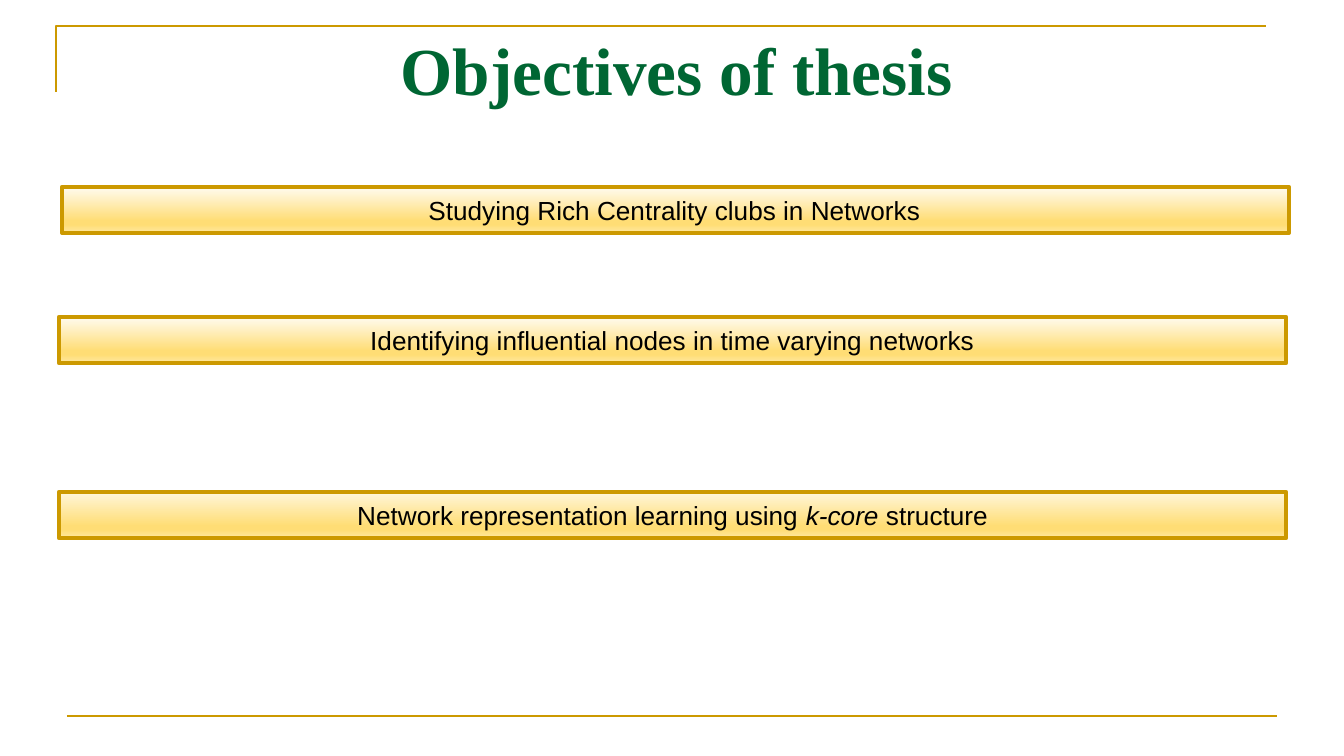
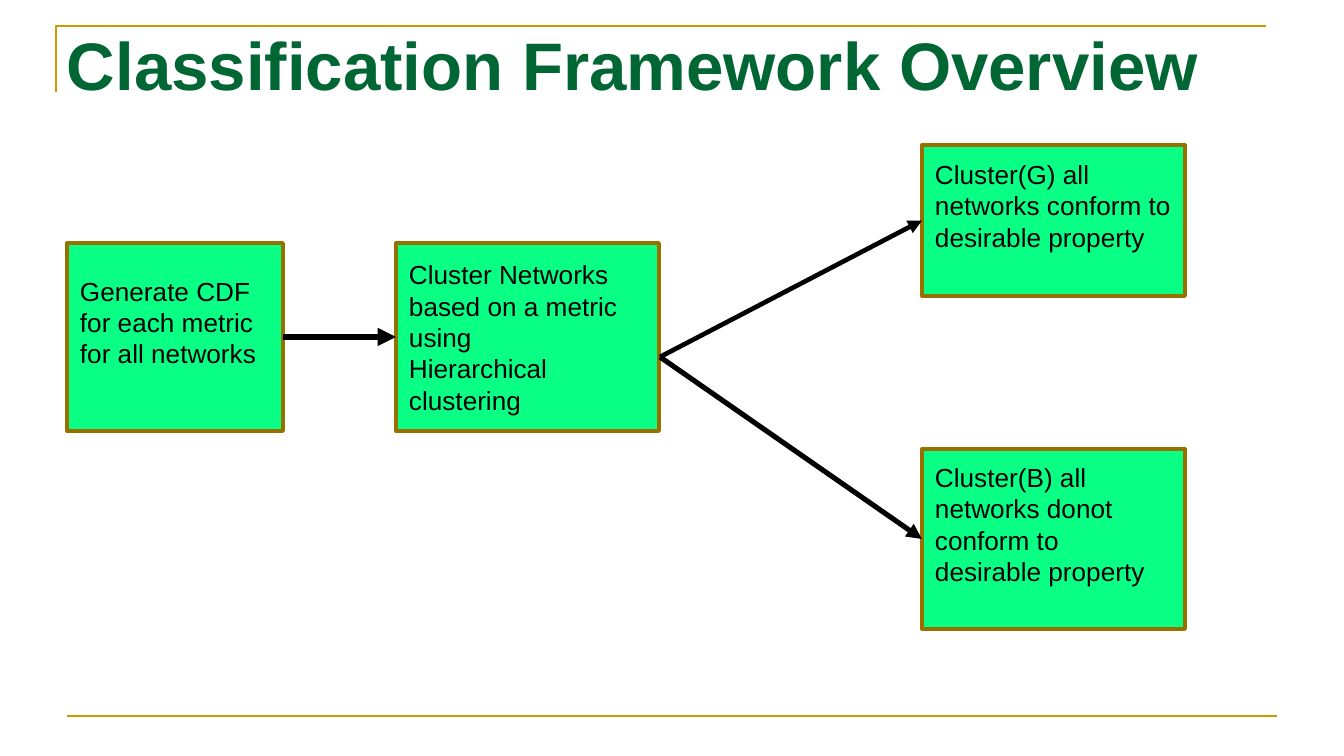
import pptx
import pptx.util
import pptx.dml.color
import pptx.enum.dml
import pptx.enum.shapes
import pptx.enum.text
import pptx.oxml.ns
from lxml import etree

PX = 914400 / 134.4
COLORS = {"gold": "CC9900", "title": "006633", "text": "000000",
          "box": "0AFF85", "box_line": "977100"}
FONT, SERIF = "Arial", "Times New Roman"
TITLE_SIZE, BODY_SIZE = 36, 14
LEFT, CENTER = pptx.enum.text.PP_ALIGN.LEFT, pptx.enum.text.PP_ALIGN.CENTER
TOP, MIDDLE = pptx.enum.text.MSO_ANCHOR.TOP, pptx.enum.text.MSO_ANCHOR.MIDDLE
SHAPES = pptx.enum.shapes.MSO_SHAPE

# Objectives: (left, top), first gradient colour, line width, insets, runs (text, italic)
BAR_SIZE = (1227, 46)
BAR_STOPS = [(74, "FFDD75"), (83, "FFDD75"), (100, "FFE8A3")]
OBJECTIVES = [
    ((62, 187), "FFFBF0", 2.25, (11, 7, 13, 7),
     [("Studying Rich Centrality clubs in Networks", False)]),
    ((59, 317), "FFFBF0", 2.5, (13, 7, 13, 7),
     [("Identifying influential nodes in time varying networks", False)]),
    ((59, 492), "FFF6DA", 2.5, (13, 7, 13, 7),
     [("Network representation learning using ", False), ("k-core", True),
      (" structure", False)]),
]

# Framework: name -> box, space kept below the text, paragraphs
STEPS = {
    "generate": ((67, 243, 216, 188), 30,
                 ["Generate CDF for each metric", "for all networks"]),
    "cluster": ((396, 243, 263, 188), 0,
                ["Cluster Networks based on a metric using",
                 "Hierarchical clustering"]),
    "good": ((922, 145, 263, 151), 30,
             ["Cluster(G) all networks conform to desirable property"]),
    "bad": ((922, 449, 263, 180), 30,
            ["Cluster(B) all networks donot conform to desirable property"]),
}
FORK = (660, 357)
# Arrows: start (step name or point), end step, width
ARROWS = [("generate", "cluster", 3.25), (FORK, "good", 2.5), (FORK, "bad", 2.75)]


def px(*values):
    return [round(v * PX) for v in values]


def rgb(value):
    return pptx.dml.color.RGBColor.from_string(value)


def set_line(s, color, width):
    s.line.color.rgb = rgb(color)
    s.line.width = pptx.util.Pt(width)


def write(s, paragraphs, insets, align=LEFT, anchor=TOP, size=BODY_SIZE,
          font=FONT, color=COLORS["text"], bold=False):
    """Fill a shape with paragraphs, each a list of (text, italic) runs."""
    tf = s.text_frame
    tf.word_wrap = True
    tf.vertical_anchor = anchor
    tf.margin_left, tf.margin_top, tf.margin_right, tf.margin_bottom = px(*insets)
    for i, runs in enumerate(paragraphs):
        p = tf.paragraphs[0] if i == 0 else tf.add_paragraph()
        p.alignment = align
        for text, italic in runs:
            r = p.add_run()
            r.text = text
            r.font.name, r.font.size = font, pptx.util.Pt(size)
            r.font.bold, r.font.italic = bold, italic
            r.font.color.rgb = rgb(color)


def add_line(slide, start, end, color, width):
    s = slide.shapes.add_connector(
        pptx.enum.shapes.MSO_CONNECTOR.STRAIGHT, *px(*start, *end))
    set_line(s, color, width)
    etree.SubElement(s._element.spPr, pptx.oxml.ns.qn("a:effectLst"))
    return s


def add_arrow(slide, start, end, width):
    s = add_line(slide, start, end, COLORS["text"], width)
    etree.SubElement(s.line._get_or_add_ln(), pptx.oxml.ns.qn("a:tailEnd"),
                     type="triangle")
    return s


def add_box(slide, kind, box, line, width):
    s = slide.shapes.add_shape(kind, *px(*box))
    s.shadow.inherit = False
    set_line(s, line, width)
    return s


def fill_gradient(s, stops):
    s.fill.gradient()
    s.fill.gradient_angle = 270
    qn = pptx.oxml.ns.qn
    stop_list = s._element.spPr.find(qn("a:gradFill")).find(qn("a:gsLst"))
    for old in list(stop_list):
        stop_list.remove(old)
    for position, color in stops:
        stop = etree.SubElement(stop_list, qn("a:gs"), pos=str(position * 1000))
        etree.SubElement(stop, qn("a:srgbClr"), val=color)


def add_slide(prs, title, box, font, align):
    """New slide with the corner frame, footer rule and title."""
    slide = prs.slides.add_slide(prs.slide_layouts[6])
    frame = slide.shapes.build_freeform(56, 92, scale=PX)
    frame.add_line_segments([(56, 26), (1266, 26)], close=False)
    s = frame.convert_to_shape()
    s.shadow.inherit = False
    s.fill.background()
    set_line(s, COLORS["gold"], 1.5)
    add_line(slide, (67, 716), (1277, 716), COLORS["gold"], 1.5)
    s = slide.shapes.add_textbox(*px(*box))
    write(s, [[(title, False)]], (12, 12, 12, 12), align, size=TITLE_SIZE,
          font=font, color=COLORS["title"], bold=True)
    return slide


def build_objectives(prs):
    slide = add_slide(prs, "Objectives of thesis", (106, 16, 1142, 94), SERIF, CENTER)
    for corner, first, width, insets, runs in OBJECTIVES:
        s = add_box(slide, SHAPES.RECTANGLE, corner + BAR_SIZE, COLORS["gold"], width)
        fill_gradient(s, [(0, first)] + BAR_STOPS)
        write(s, [runs], insets, CENTER)
        s.text_frame.auto_size = pptx.enum.text.MSO_AUTO_SIZE.SHAPE_TO_FIT_TEXT


def build_framework(prs):
    slide = add_slide(prs, "Classification Framework Overview",
                      (55, 11, 1208, 150), FONT, LEFT)
    steps = {}
    for name, (box, below, lines) in STEPS.items():
        s = add_box(slide, SHAPES.FLOWCHART_PROCESS, box, COLORS["box_line"], 2)
        s.fill.solid()
        s.fill.fore_color.rgb = rgb(COLORS["box"])
        write(s, [[(line, False)] for line in lines], (13, 7, 13, 7 + below),
              anchor=MIDDLE)
        steps[name] = s

    # Arrows run from a right side, or the fork, to a left side
    for start, end, width in ARROWS:
        joined = start in steps
        x, y, w, h = STEPS[start][0] if joined else (*start, 0, 0)
        left, top, _, height = STEPS[end][0]
        s = add_arrow(slide, (x + w, y + h / 2), (left, top + height / 2), width)
        if joined:
            s.begin_connect(steps[start], 3)
        s.end_connect(steps[end], 1)


def main():
    prs = pptx.Presentation()
    prs.slide_width, prs.slide_height = px(1344, 756)
    build_objectives(prs)
    build_framework(prs)
    prs.save("out.pptx")


if __name__ == "__main__":
    main()
